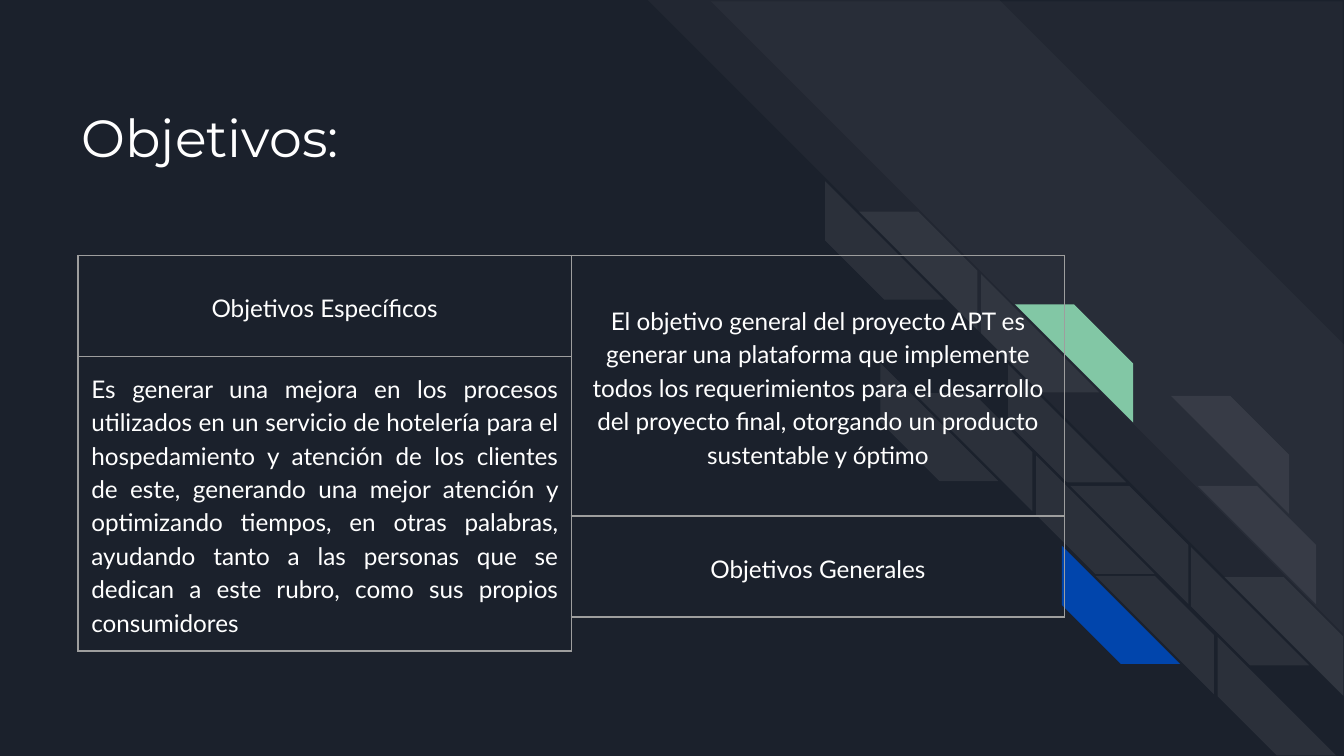
import pptx
import pptx.dml.color
import pptx.enum.shapes
import pptx.enum.text
import pptx.oxml
import pptx.oxml.ns
import pptx.util

WIDTH = pptx.util.Inches(10)
HEIGHT = pptx.util.Inches(5.625)

# Places and sizes below are percentages of the slide's width.
MARGIN = 5.8
TABLE_TOP = 19
COLUMN = 36.7
HEADING_ROW = 7.5
BODY_ROW = 19.4
BRICK = 8.8
PAIR_STEP = (2.52, 2.25)

WHITE = "FFFFFF"
BACKGROUND = "1B212C"
GREEN = "82C7A5"
BLUE = "0145AC"
BORDER = "9E9E9E"

SPECIFIC = (
    "Es generar una mejora en los procesos utilizados en un servicio de "
    "hotelería para el hospedamiento y atención de los clientes de este, "
    "generando una mejor atención y optimizando tiempos, en otras palabras, "
    "ayudando tanto a las personas que se dedican a este rubro, como sus "
    "propios consumidores"
)
GENERAL = (
    "El objetivo general del proyecto APT es generar una plataforma que "
    "implemente todos los requerimientos para el desarrollo del proyecto "
    "final, otorgando un producto sustentable y óptimo"
)

# Left, top, colour of the left brick, colour of the right brick; None omits one.
BRICK_PAIRS = [
    (61.4, 13.5, WHITE, WHITE),
    (65.5, 27, WHITE, WHITE),
    (73, 20.4, WHITE, GREEN),
    (75, 27.1, WHITE, None),
    (84.6, 27.2, None, WHITE),
    (86.6, 33.9, None, WHITE),
    (77.1, 33.9, WHITE, WHITE),
    (79, 40.6, BLUE, WHITE),
    (88.6, 40.7, WHITE, WHITE),
    (90.6, 47.4, WHITE, None),
]


def share(percent):
    return round(WIDTH * percent / 100)


def paint(target, colour):
    """Give a fill or a font a solid colour from a hex string."""
    if hasattr(target, "solid"):
        target.solid()
    holder = target.fore_color if hasattr(target, "fore_color") else target.color
    holder.rgb = pptx.dml.color.RGBColor.from_string(colour)


def add_stripe(slide, left, top, size, rotation, cut, colour, opacity=100):
    stripe = slide.shapes.add_shape(
        pptx.enum.shapes.MSO_SHAPE.DIAGONAL_STRIPE,
        share(left), share(top), share(size), share(size),
    )
    stripe.adjustments[0] = cut
    stripe.rotation = rotation
    stripe.shadow.inherit = False
    stripe.line.fill.background()
    paint(stripe.fill, colour)
    if opacity < 100:
        tone = next(stripe.element.spPr.iter(pptx.oxml.ns.qn("a:srgbClr")))
        tone.append(pptx.oxml.parse_xml(
            f'<a:alpha {pptx.oxml.ns.nsdecls("a")} val="{opacity * 1000}"/>'
        ))


def add_brick_pair(slide, left, top, left_colour, right_colour):
    step_x, step_y = PAIR_STEP
    bricks = [
        (left, top, 270, left_colour),
        (left + step_x, top + step_y, 90, right_colour),
    ]
    for x, y, rotation, colour in bricks:
        if colour:
            opacity = 7 if colour == WHITE else 100
            add_stripe(slide, x, y, BRICK, rotation, 0.5, colour, opacity)


def style_text(frame, font, size):
    for para in frame.paragraphs:
        for span in para.runs:
            span.font.name = font
            span.font.size = pptx.util.Pt(size)
            paint(span.font, WHITE)


def set_margins(holder):
    for side in ("left", "right", "top", "bottom"):
        setattr(holder, f"margin_{side}", share(1))


def add_title(slide, text):
    box = slide.shapes.add_textbox(share(5.1), share(5.5), share(50.2), share(9.4))
    frame = box.text_frame
    frame.word_wrap = True
    frame.vertical_anchor = pptx.enum.text.MSO_ANCHOR.MIDDLE
    set_margins(frame)
    frame.text = text
    style_text(frame, "Montserrat", 28)


def outline_cell(cell):
    properties = cell._tc.get_or_add_tcPr()
    for position, side in enumerate(("lnL", "lnR", "lnT", "lnB")):
        properties.insert(position, pptx.oxml.parse_xml(
            f'<a:{side} {pptx.oxml.ns.nsdecls("a")} w="{pptx.util.Pt(0.75)}">'
            f'<a:solidFill><a:srgbClr val="{BORDER}"/></a:solidFill></a:{side}>'
        ))


def add_text_table(slide, left, top, height, text, align):
    """Add a table of one outlined, unfilled cell."""
    table = slide.shapes.add_table(
        1, 1, share(left), share(top), share(COLUMN), share(height)
    ).table
    table.first_row = False
    table.horz_banding = False
    cell = table.cell(0, 0)
    cell.fill.background()
    outline_cell(cell)
    set_margins(cell)
    cell.vertical_anchor = pptx.enum.text.MSO_ANCHOR.MIDDLE
    cell.text_frame.text = text
    para = cell.text_frame.paragraphs[0]
    para.alignment = align
    para.line_spacing = 1.15
    para.space_after = pptx.util.Pt(12)
    style_text(cell.text_frame, "Lato", 13)


def main():
    deck = pptx.Presentation()
    deck.slide_width, deck.slide_height = WIDTH, HEIGHT
    slide = deck.slides.add_slide(deck.slide_layouts[6])
    paint(slide.background.fill, BACKGROUND)

    add_stripe(slide, 48.2, 0, 51.8, 90, 0.495, WHITE, 3)
    add_stripe(slide, 52.9, 0.1, 47, 90, 0, WHITE, 3)
    for pair in BRICK_PAIRS:
        add_brick_pair(slide, *pair)

    add_title(slide, "Objetivos:")
    center = pptx.enum.text.PP_ALIGN.CENTER
    justify = pptx.enum.text.PP_ALIGN.JUSTIFY
    right = MARGIN + COLUMN
    add_text_table(slide, right, TABLE_TOP, BODY_ROW, GENERAL, center)
    add_text_table(slide, right, TABLE_TOP + BODY_ROW, HEADING_ROW,
                   "Objetivos Generales", center)
    add_text_table(slide, MARGIN, TABLE_TOP + HEADING_ROW, BODY_ROW, SPECIFIC, justify)
    add_text_table(slide, MARGIN, TABLE_TOP, HEADING_ROW,
                   "Objetivos Específicos", center)
    deck.save("out.pptx")


if __name__ == "__main__":
    main()
